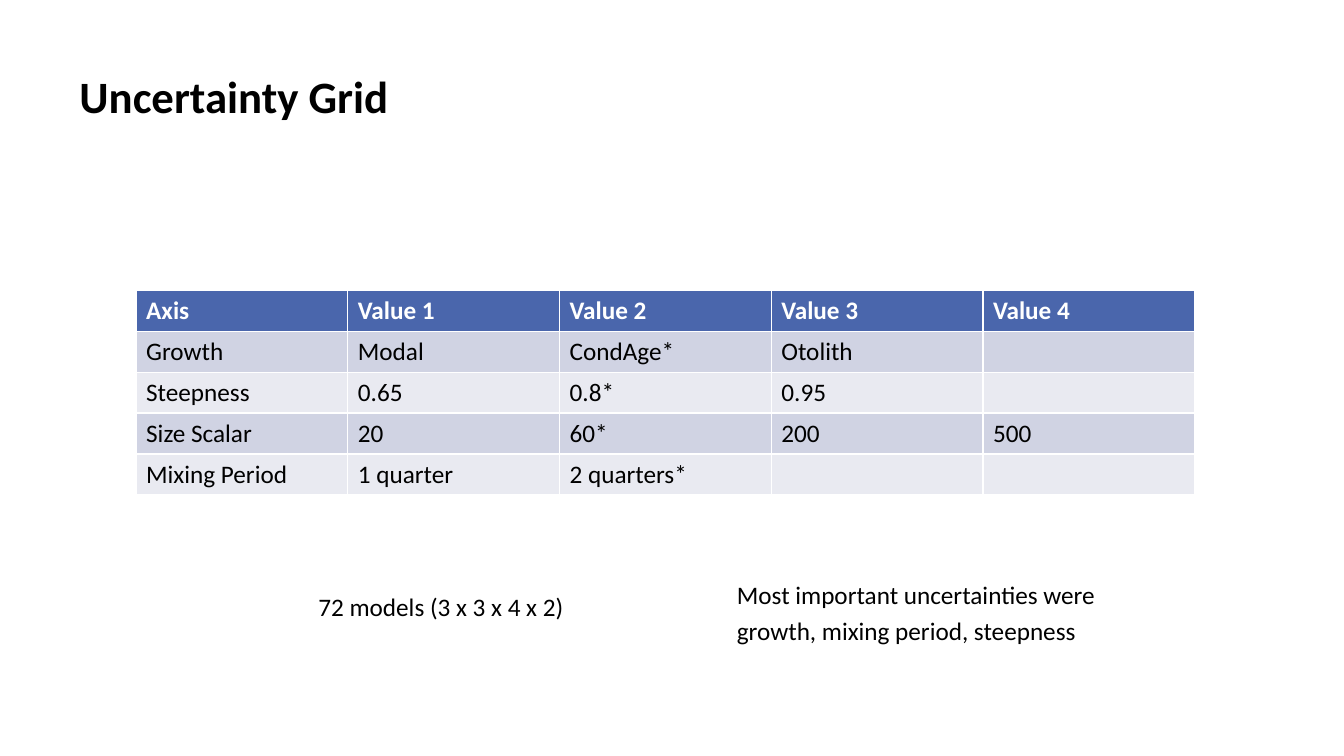
"""Build the Uncertainty Grid slide with its table of model axes and values."""
from pptx import Presentation
from pptx.dml.color import RGBColor
from pptx.enum.text import MSO_ANCHOR
from pptx.util import Inches, Pt

MIDDLE = MSO_ANCHOR.MIDDLE
TOP = MSO_ANCHOR.TOP
BLACK = RGBColor(0x00, 0x00, 0x00)
WHITE = RGBColor(0xFF, 0xFF, 0xFF)
HEADER_BLUE = RGBColor(0x4A, 0x66, 0xAC)
BAND_DARK = RGBColor(0xD0, 0xD3, 0xE3)
BAND_LIGHT = RGBColor(0xE9, 0xEA, 0xF1)
FONT = "Calibri"

GRID = [
    ["Axis", "Value 1", "Value 2", "Value 3", "Value 4"],
    ["Growth", "Modal", "CondAge*", "Otolith", ""],
    ["Steepness", "0.65", "0.8*", "0.95", ""],
    ["Size Scalar", "20", "60*", "200", "500"],
    ["Mixing Period", "1 quarter", "2 quarters*", "", ""],
]


def style_paragraph(paragraph, size, color, bold=False):
    paragraph.font.name = FONT
    paragraph.font.size = Pt(size)
    paragraph.font.color.rgb = color
    paragraph.font.bold = bold


def add_text(slide, box, lines, size, spacing, wrap=False, bold=False, anchor=TOP):
    shape = slide.shapes.add_textbox(*[Inches(length) for length in box])
    frame = shape.text_frame
    frame.word_wrap = wrap
    frame.vertical_anchor = anchor
    frame.text = "\n".join(lines)
    for paragraph in frame.paragraphs:
        paragraph.line_spacing = spacing
        style_paragraph(paragraph, size, BLACK, bold)


presentation = Presentation()
presentation.slide_width = Inches(13.33)
presentation.slide_height = Inches(7.5)
slide = presentation.slides.add_slide(presentation.slide_layouts[6])

add_text(slide, (0.69, 0.69, 9.67, 0.59), ["Uncertainty Grid"], 32, 0.9,
         wrap=True, bold=True, anchor=MIDDLE)

table = slide.shapes.add_table(
    len(GRID), len(GRID[0]), Inches(1.35), Inches(2.88), Inches(10.5), Inches(2.03)
).table
for row_index, values in enumerate(GRID):
    is_header = row_index == 0
    band = BAND_DARK if row_index % 2 else BAND_LIGHT
    for column_index, value in enumerate(values):
        cell = table.cell(row_index, column_index)
        cell.text = value
        cell.fill.solid()
        cell.fill.fore_color.rgb = HEADER_BLUE if is_header else band
        style_paragraph(cell.text_frame.paragraphs[0], 18,
                        WHITE if is_header else BLACK, is_header)

add_text(slide, (3.06, 5.82, 2.66, 0.4), ["72 models (3 x 3 x 4 x 2)"], 18, 1.0)
add_text(slide, (7.21, 5.64, 3.79, 0.8),
         ["Most important uncertainties were", "growth, mixing period, steepness"], 18, 1.2)

presentation.save("out.pptx")
